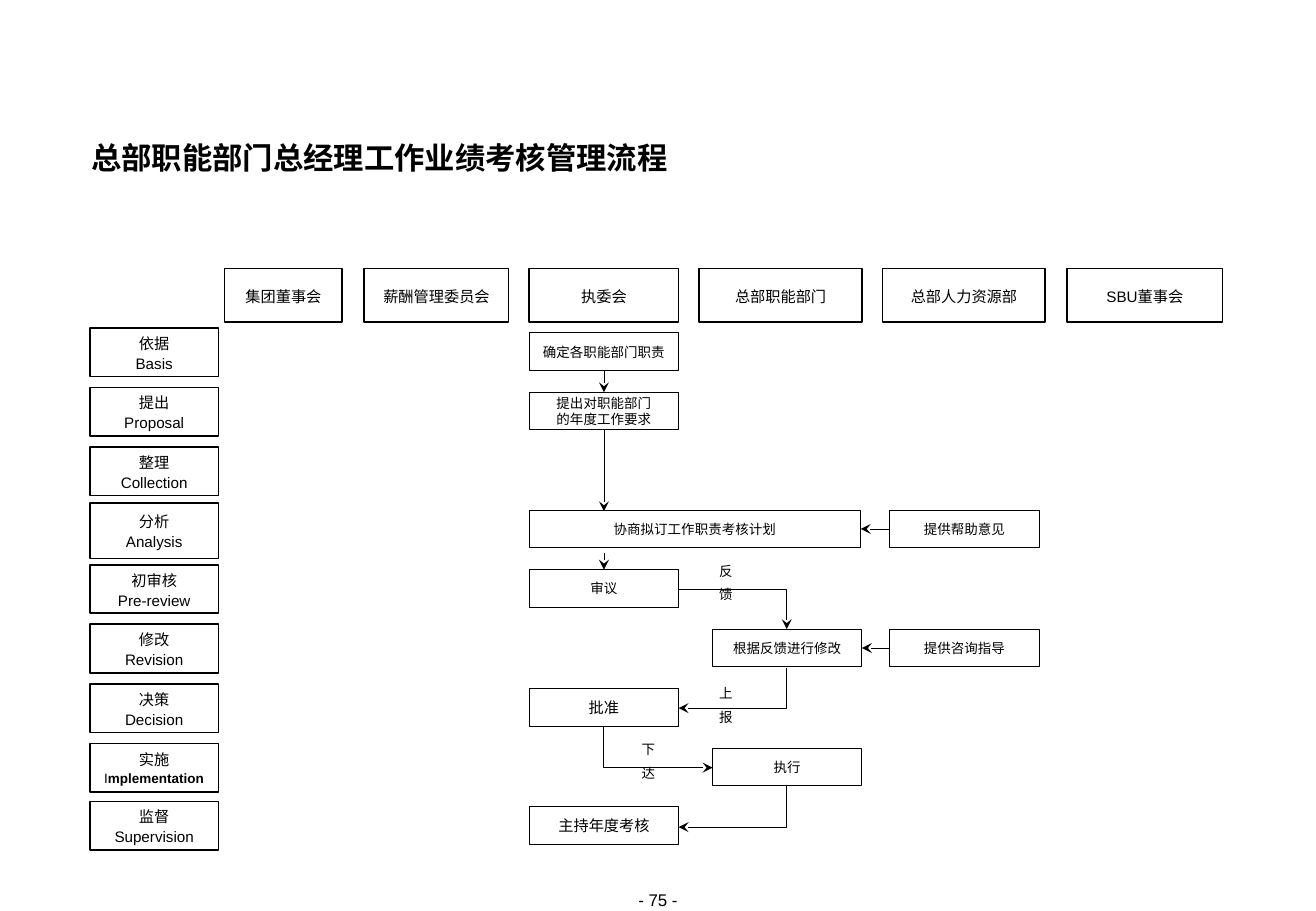
"""Build the performance appraisal process slide as a swimlane flowchart."""
import lxml.etree
import pptx
import pptx.dml.color
import pptx.enum.shapes
import pptx.enum.text
import pptx.oxml.ns
import pptx.util

PX = 9144
COLORS = {"ink": "000000", "paper": "FFFFFF"}
INK = pptx.dml.color.RGBColor.from_string(COLORS["ink"])
PAPER = pptx.dml.color.RGBColor.from_string(COLORS["paper"])
CENTER = pptx.enum.text.PP_ALIGN.CENTER
LEFT = pptx.enum.text.PP_ALIGN.LEFT
CONNECTOR = pptx.enum.shapes.MSO_CONNECTOR
ROW_STEP = 48.8

deck = pptx.Presentation()
deck.slide_width = 1084 * PX
deck.slide_height = 750 * PX
page = deck.slides.add_slide(deck.slide_layouts[6])


def add_box(bounds, lines, size, outline=None, filled=False, spacing=None,
            margins=(0, 0), align=CENTER, wrap=True, bold=False):
    """Add a rectangle, or a text box when outline is None; lines hold text or runs."""
    left, top, width, height = [value * PX for value in bounds]
    if outline is None:
        box = page.shapes.add_textbox(left, top, width, height)
        box.text_frame.auto_size = pptx.enum.text.MSO_AUTO_SIZE.SHAPE_TO_FIT_TEXT
    else:
        box = page.shapes.add_shape(
            pptx.enum.shapes.MSO_SHAPE.RECTANGLE, left, top, width, height)
        box.shadow.inherit = False
        box.line.color.rgb = INK
        box.line.width = pptx.util.Pt(outline)
        if filled:
            box.fill.solid()
            box.fill.fore_color.rgb = PAPER
        else:
            box.fill.background()
    frame = box.text_frame
    frame.word_wrap = wrap
    frame.vertical_anchor = pptx.enum.text.MSO_ANCHOR.MIDDLE
    frame.margin_left = frame.margin_right = margins[0] * PX
    frame.margin_top = frame.margin_bottom = margins[1] * PX
    for index, line in enumerate(lines):
        para = frame.add_paragraph() if index else frame.paragraphs[0]
        para.alignment = align
        if spacing:
            para.line_spacing = spacing
        runs = [(line, size, bold)] if isinstance(line, str) else line
        for text, run_size, run_bold in runs:
            span = para.add_run()
            span.text = text
            span.font.name = "Arial"
            span.font.size = pptx.util.Pt(run_size)
            span.font.bold = run_bold
            span.font.color.rgb = INK
    return box


def add_arrow(kind, begin_x, begin_y, end_x, end_y):
    """Add a thin connector with a stealth arrowhead at its end."""
    arrow = page.shapes.add_connector(
        kind, *[int(value * PX) for value in (begin_x, begin_y, end_x, end_y)])
    arrow.line.color.rgb = INK
    arrow.line.width = pptx.util.Pt(0.5)
    head = lxml.etree.SubElement(
        arrow.line._get_or_add_ln(), pptx.oxml.ns.qn("a:tailEnd"))
    head.set("type", "stealth")
    lxml.etree.SubElement(arrow._element.spPr, pptx.oxml.ns.qn("a:effectLst"))
    return arrow


add_box((75, 117, 933, 28), ["总部职能部门总经理工作业绩考核管理流程"], 18,
        spacing=pptx.util.Pt(20), align=LEFT, bold=True)
add_box((485, 732, 114, 17), ["- 75 -"], 10)

departments = [
    ("集团董事会", 185, 97),
    ("薪酬管理委员会", 300, 119),
    ("执委会", 436, 123),
    ("总部职能部门", 576, 134),
    ("总部人力资源部", 727, 134),
    ("SBU董事会", 879, 128),
]
for name, left, width in departments:
    add_box((left, 221, width, 44), [name], 9, outline=1, spacing=1.1)

stages = [
    ("依据", "Basis"),
    ("提出", "Proposal"),
    ("整理", "Collection"),
    ("分析", "Analysis"),
    ("初审核", "Pre-review"),
    ("修改", "Revision"),
    ("决策", "Decision"),
    ("实施", [("I", 8, False), ("mplementation", 8, True)]),
    ("监督", "Supervision"),
]
for row, names in enumerate(stages):
    top, height = 270 + round(row * ROW_STEP), 40
    if names[1] == "Analysis":
        top, height = 414, 46
    add_box((74, top, 106, height), names, 9, outline=1, spacing=1.1,
            margins=(10, 5))

steps = [
    ("duties", 0, 436, 123, 8, ["确定各职能部门职责"]),
    ("demands", 1, 436, 123, 8, ["提出对职能部门", "的年度工作要求"]),
    ("plan", 3, 436, 273, 8, ["协商拟订工作职责考核计划"]),
    ("advice", 3, 733, 123, 8, ["提供帮助意见"]),
    ("review", 4, 436, 123, 8, ["审议"]),
    ("guidance", 5, 733, 123, 8, ["提供咨询指导"]),
    ("revision", 5, 587, 123, 8, ["根据反馈进行修改"]),
    ("approval", 6, 436, 123, 9, ["批准"]),
    ("execution", 7, 587, 123, 8, ["执行"]),
    ("appraisal", 8, 436, 123, 9, ["主持年度考核"]),
]
step_boxes = {}
for key, row, left, width, size, lines in steps:
    step_boxes[key] = add_box((left, 274 + round(row * ROW_STEP), width, 31),
                              lines, size, outline=0.5, filled=True)

straight_arrows = [
    ((497, 306, 497, 323), ("duties", 2), ("demands", 0)),
    ((496, 354, 496, 421), ("demands", 2), None),
    ((496, 455, 496, 468), None, ("review", 0)),
    ((733, 437, 709, 437), ("advice", 1), ("plan", 3)),
    ((733, 534, 709, 534), ("guidance", 1), ("revision", 3)),
]
for points, source, target in straight_arrows:
    arrow = add_arrow(CONNECTOR.STRAIGHT, *points)
    if source:
        arrow.begin_connect(step_boxes[source[0]], source[1])
    if target:
        arrow.end_connect(step_boxes[target[0]], target[1])
    if not source:
        arrow.begin_x = arrow.end_x
    if not target:
        arrow.end_x = arrow.begin_x

bent_arrows = [
    (559, 485, 648, 518, 0),
    (648, 550, 559, 583, 90),
    (497, 598, 587, 632, 270),
    (648, 647, 559, 681, 90),
]
for begin_x, begin_y, end_x, end_y, angle in bent_arrows:
    width, height = abs(end_x - begin_x), end_y - begin_y
    if angle:
        width, height = height, width
    left = (begin_x + end_x - width) / 2
    top = (begin_y + end_y - height) / 2
    sides = (left + width, left) if angle == 270 else (left, left + width)
    arrow = add_arrow(CONNECTOR.ELBOW, sides[0], top, sides[1], top + height)
    arrow._element.spPr.prstGeom.set("prst", "bentConnector2")
    arrow._element.spPr.xfrm.set("rot", str(angle * 60000))

for label, left, top in [("反馈", 587, 467), ("上报", 587, 568), ("下达", 523, 614)]:
    add_box((left, top, 22, 19), [label], 8, spacing=pptx.util.Pt(14), wrap=False)

deck.save("out.pptx")
